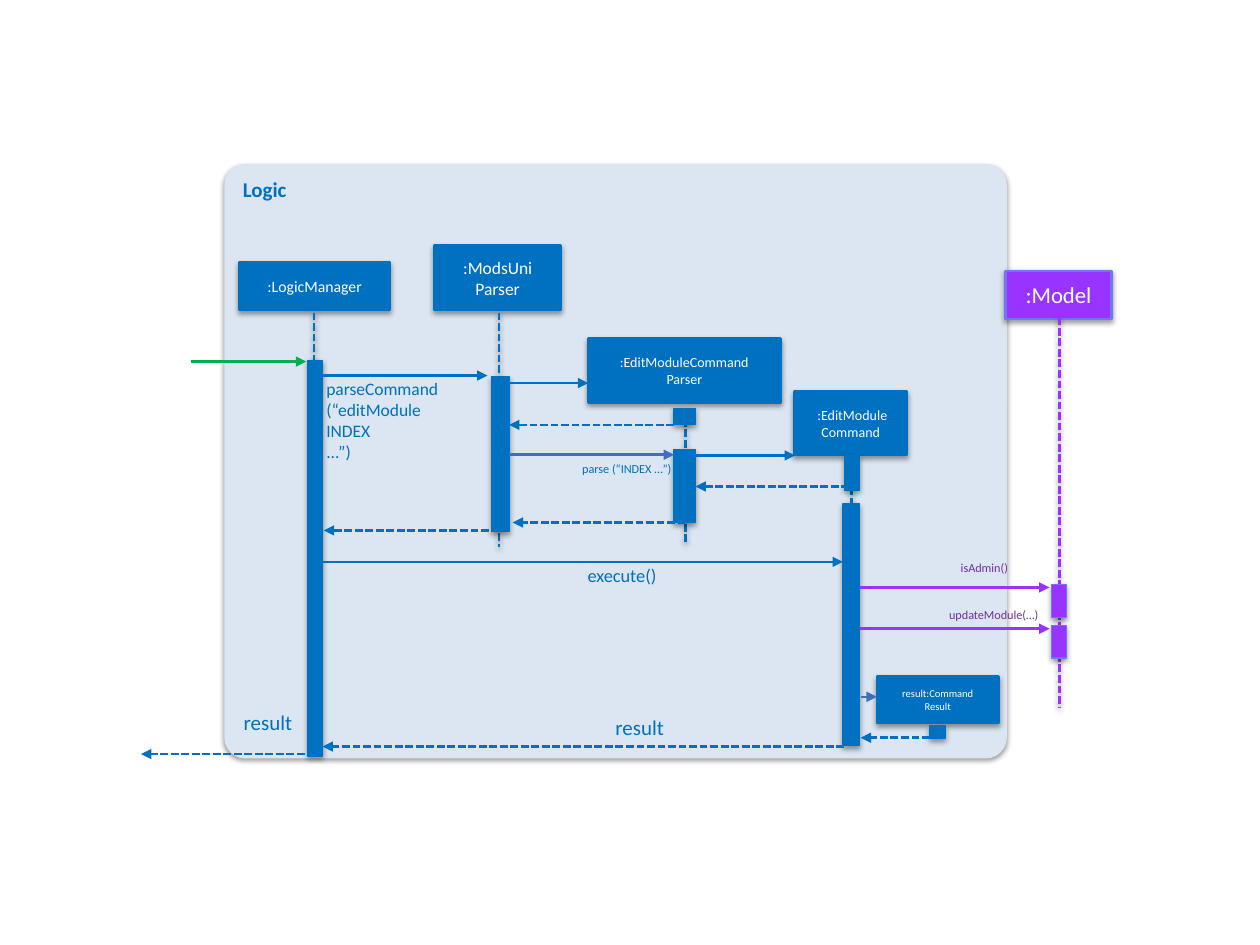
from dataclasses import dataclass
from lxml import etree
from pptx import Presentation
from pptx.dml.color import RGBColor
from pptx.enum.dml import MSO_LINE
from pptx.enum.shapes import MSO_CONNECTOR, MSO_SHAPE
from pptx.enum.text import MSO_ANCHOR, PP_ALIGN
from pptx.oxml.ns import qn
from pptx.util import Pt

RECT, ROUNDED = MSO_SHAPE.RECTANGLE, MSO_SHAPE.ROUNDED_RECTANGLE
STRAIGHT, DASHED = MSO_CONNECTOR.STRAIGHT, MSO_LINE.SQUARE_DOT
TOP, MIDDLE = MSO_ANCHOR.TOP, MSO_ANCHOR.MIDDLE
LEFT, CENTER, RIGHT = PP_ALIGN.LEFT, PP_ALIGN.CENTER, PP_ALIGN.RIGHT


@dataclass(frozen=True)
class Theme:
    font: str = "Calibri"
    panel: str = "DCE6F2"
    logic: str = "0070C0"
    accent: str = "3F6EC2"
    caller: str = "00B050"
    model: str = "9933FF"
    model_edge: str = "6F75F7"
    model_text: str = "7030A0"
    white: str = "FFFFFF"
    shadow: str = "000000"
    title: float = 12
    model_name: float = 13
    call: float = 10
    execute: float = 10.5
    manager: float = 9
    command: float = 8
    note: float = 7
    result: float = 6
    line: float = 1.5
    thin: float = 0.75


def write(sp, text, *, size, color, font, bold=False, align=LEFT,
          anchor=TOP, inset=(0, 0)):
    """Fill a shape with text; newline = paragraph, \\v = line break."""
    tf = sp.text_frame
    tf.word_wrap = True
    tf.vertical_anchor = anchor
    tf.margin_left = tf.margin_right = Pt(inset[0])
    tf.margin_top = tf.margin_bottom = Pt(inset[1])
    tf.text = text
    for p in tf.paragraphs:
        p.alignment = align
        for r in p.runs:
            r.font.name, r.font.size, r.font.bold = font, Pt(size), bold
            r.font.color.rgb = RGBColor.from_string(color)


class Diagram:
    def __init__(self, slide, theme):
        self.s, self.t = slide, theme

    def effects(self, sp, shadow):
        lst = etree.SubElement(sp._element.spPr, qn("a:effectLst"))
        if shadow:
            outer = etree.SubElement(
                lst, qn("a:outerShdw"), blurRad=str(Pt(3.1)),
                dist=str(Pt(1.6)), dir="5400000", rotWithShape="0")
            clr = etree.SubElement(outer, qn("a:srgbClr"), val=self.t.shadow)
            etree.SubElement(clr, qn("a:alpha"), val="38000")

    def box(self, at, fill, edge=None, width=None, kind=RECT):
        sp = self.s.shapes.add_shape(kind, *map(Pt, at))
        sp.fill.solid()
        sp.fill.fore_color.rgb = RGBColor.from_string(fill)
        if edge:
            sp.line.color.rgb = RGBColor.from_string(edge)
            sp.line.width = Pt(width)
        else:
            sp.line.fill.background()
        self.effects(sp, True)
        return sp

    def panel(self, at, text):
        sp = self.box(at, self.t.panel, kind=ROUNDED)
        sp.adjustments[0] = 0.035
        write(sp, text, size=self.t.title, color=self.t.logic,
              font=self.t.font, bold=True, inset=(7.2, 3.6))

    def line(self, start, end, color, dashed=False, arrow=True, shadow=False):
        c = self.s.shapes.add_connector(STRAIGHT, *map(Pt, start + end))
        c.line.color.rgb = RGBColor.from_string(color)
        c.line.width = Pt(self.t.line)
        if dashed:
            c.line.dash_style = DASHED
        if arrow:
            etree.SubElement(c.line._get_or_add_ln(), qn("a:tailEnd"),
                             type="triangle")
        self.effects(c, shadow)

    def participant(self, name, size, head, life, bars, fill, edge):
        sp = self.box(head, fill, edge, self.t.line)
        write(sp, name, size=size, color=self.t.white, font=self.t.font,
              align=CENTER, anchor=MIDDLE, inset=(7.2, 3.6))
        if life:
            x, top, bottom = life
            self.line((x, top), (x, bottom), fill, dashed=True,
                      arrow=False, shadow=True)
        for bar in bars:
            self.box(bar, fill, edge, self.t.thin)

    def message(self, x1, x2, y, color, reply=False):
        self.line((x1, y), (x2, y), color, dashed=reply)

    def label(self, text, at, size, color, align=RIGHT):
        tb = self.s.shapes.add_textbox(*map(Pt, at))
        write(tb, text, size=size, color=color, font=self.t.font, align=align)


def main():
    prs = Presentation()
    prs.slide_width, prs.slide_height = Pt(720), Pt(540)
    t = Theme()
    d = Diagram(prs.slides.add_slide(prs.slide_layouts[6]), t)

    d.panel((128.2, 93.6, 447.1, 339.8), "Logic")

    # Participants: name, size, head, lifeline (x, top, bottom), activations
    blue, purple = (t.logic, t.logic), (t.model, t.model_edge)
    for *parts, colors in (
        (":LogicManager", t.manager, (136.8, 149.8, 86, 27.4),
         (179.5, 178.6, 383), [(175.7, 205.9, 8.6, 226.1)], blue),
        (":ModsUni\vParser", t.call, (248.4, 140.4, 72, 36.7),
         (285.1, 178.6, 312.5), [(280.8, 215.3, 10.1, 88.6)], blue),
        (" :EditModule\nCommand", t.command, (454, 223.9, 64.4, 36),
         (486.7, 260.6, 412.6),
         [(482.4, 260.6, 8.6, 19.4), (481.7, 288, 9.4, 138.2)], blue),
        (":Model", t.model_name, (574.6, 154.8, 60.5, 27.4),
         (605.3, 181.4, 404.6),
         [(600.7, y, 8.6, 18.7) for y in (334.1, 357.4)], purple),
        ("result:Command Result", t.result, (501.1, 386.6, 69.5, 26.6),
         None, [(531.4, 414.7, 8.6, 7.2)], blue),
        (":EditModuleCommand\nParser", t.command, (336.2, 193.3, 109.8, 36.7),
         (391.7, 233.3, 311),
         [(385.2, 233.3, 12.2, 9.4), (385.2, 257, 12.2, 41.8)], blue),
    ):
        d.participant(*parts, *colors)

    # Calls: from x, to x, y, colour
    for call in (
        (109.4, 175, 206.6, t.caller),
        (184.3, 278.6, 214.6, t.logic),
        (288, 336.2, 218.9, t.logic),
        (290.9, 385.2, 259.9, t.accent),
        (394.6, 454.3, 260.3, t.logic),
        (184.3, 481.7, 321.1, t.logic),
        (491.4, 599.8, 335.7, t.model),
        (491.4, 599.8, 359.3, t.model),
        (491.8, 501.1, 398.2, t.accent),
    ):
        d.message(*call)

    # Replies: from x, to x, y
    for reply in (
        (385.2, 290.9, 242.8),
        (485.3, 397.4, 278),
        (391.7, 293, 298.6),
        (279.4, 185, 303.1),
        (531.4, 491.8, 421.6),
        (482.4, 184.3, 426.6),
        (174.2, 80.6, 430.9),
    ):
        d.message(*reply, t.logic, reply=True)

    # Message labels
    d.label("parseCommand\n(“editModule\vINDEX\v...”)",
            (186.5, 216, 84.2, 57.6), t.call, t.logic, align=LEFT)
    for label in (
        ("execute()", (324.7, 322.6, 50.4, 16.6), t.execute, t.logic),
        ("result", (342.7, 408.2, 36.7, 16.6), t.title, t.logic),
        ("result", (122.4, 405.4, 44.6, 16.6), t.title, t.logic),
        ("parse (“INDEX …”)", (285.1, 263.5, 98.6, 10.8), t.note, t.logic),
        ("updateModule(…)", (496.8, 347, 96.5, 10.8), t.note, t.model_text),
        ("isAdmin()", (474.5, 320.4, 101.5, 12.2), t.note, t.model_text),
    ):
        d.label(*label)

    prs.save("out.pptx")


if __name__ == "__main__":
    main()
